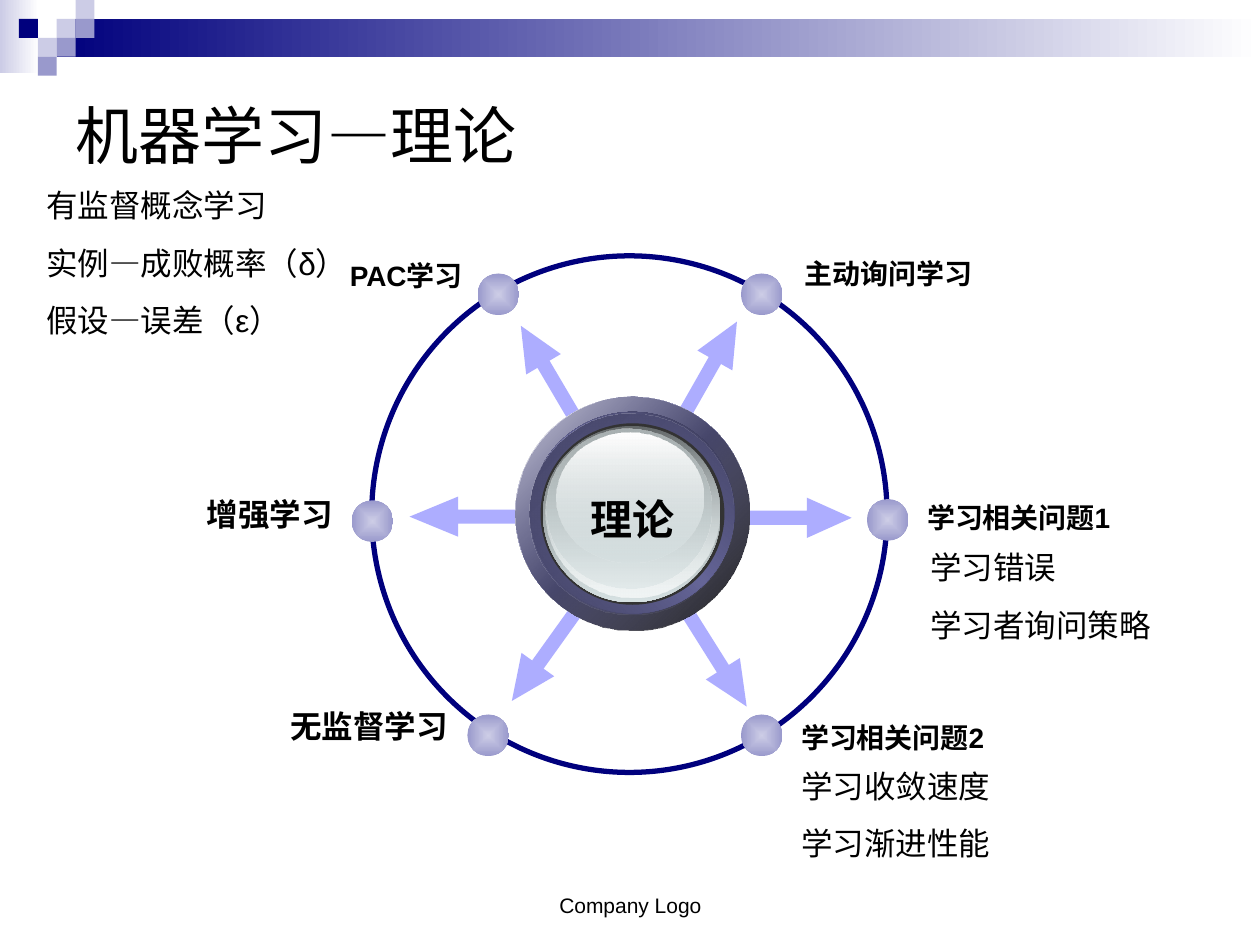
from lxml import etree
from pptx import Presentation
from pptx.dml.color import RGBColor
from pptx.enum.shapes import MSO_SHAPE
from pptx.enum.text import MSO_ANCHOR, MSO_AUTO_SIZE, PP_ALIGN
from pptx.oxml import parse_xml
from pptx.oxml.ns import nsdecls, qn
from pptx.util import Pt

RECTANGLE, OVAL, ARROW = MSO_SHAPE.RECTANGLE, MSO_SHAPE.OVAL, MSO_SHAPE.RIGHT_ARROW
LEFT, CENTER, RIGHT = PP_ALIGN.LEFT, PP_ALIGN.CENTER, PP_ALIGN.RIGHT
TOP, MIDDLE, BOTTOM = MSO_ANCHOR.TOP, MSO_ANCHOR.MIDDLE, MSO_ANCHOR.BOTTOM
FIT_SHAPE, NO_FIT = MSO_AUTO_SIZE.SHAPE_TO_FIT_TEXT, MSO_AUTO_SIZE.NONE
TITLE_ONLY = 5
FONT = "Arial"
COLORS = {
    "text": "000000", "white": "FFFFFF", "navy": "00007D", "pale": "CCCCE6",
    "lilac": "9999CC", "arrow": "9999FF", "node": "CDCDE6", "slate": "666699",
    "black": "000000", "rim": "373753", "rim_dark": "414161", "well": "333333",
    "glass_dark": "636869", "glass": "D6E1E2", "glass_light": "F1F5F5",
    "glass_mid": "AAB2B3",
}

CELL = 10.8
HEADER_CELLS = [
    (3, 1, "pale"), (4, 0, "pale"), (4, 1, "lilac"), (2, 2, "pale"),
    (1, 1, "navy"), (3, 2, "lilac"), (2, 3, "lilac"),
]

NODE_SIZE = 23.8
ARROW_HEIGHT = 23
SPOKES = [
    dict(node=(211, 10.1), arrow=(162, 53.3, 62.6), angle=299.6, head=1.11,
         text="主动询问学习", label=(240.5, -2.9, 116, 26.6), size=16, align=LEFT),
    dict(node=(60.5, 10.1), arrow=(69.8, 55.4, 62.6), angle=239.5, head=1.11,
         text="PAC学习", label=(-31, -2.2, 90, 26.6), size=16, align=RIGHT),
    dict(node=(283, 139), arrow=(211.7, 138.2, 62.6), angle=0, head=1.11,
         text="学习相关问题1", label=(310.3, 136.1, 132, 26.6), size=16, align=LEFT),
    dict(node=(211, 262.1), arrow=(166.3, 219.6, 62.6), angle=57.8, head=1.11,
         text="学习相关问题2", label=(238.3, 262.1, 132, 26.6), size=16, align=LEFT),
    dict(node=(-11.5, 139.7), arrow=(21.6, 137.5, 67.7), angle=180, head=1.21,
         text="增强学习", label=(-107.1, 133.2, 92, 28.8), size=18, align=RIGHT),
    dict(node=(54.7, 262.1), arrow=(67, 217.4, 62.6), angle=125.6, head=1.11,
         text="无监督学习", label=(-59.4, 254.2, 110, 28.8), size=18, align=RIGHT),
]

HUB_LAYERS = [
    ((0, 0, 133.9, 133.2), [(0, "white", 100), (50, "slate", 100), (100, "white", 100)], 45),
    ((0, 0, 133.9, 133.2), [(0, "slate", 32), (100, "black", 90)], 45),
    ((8.6, 8.6, 116.6, 115.2), [(0, "rim", 100), (50, "slate", 100), (100, "rim", 100)], 315),
    ((7.9, 9.4, 116.6, 115.2), [(0, "rim_dark", 100), (100, "slate", 0)], 45),
    ((14.4, 15.1, 105.1, 103.7), "well", None),
    ((15.8, 16.6, 101.5, 100.8), [(0, "glass_dark", 100), (100, "glass", 100)], 90),
    ((17.3, 16.6, 99.4, 97.9), [(0, "glass", 0), (100, "glass_light", 100)], 90),
    ((18, 18, 94.3, 91.4), [(0, "glass_mid", 100), (100, "glass", 48)], 90),
    ((23.8, 20.2, 83.5, 74.2), [(0, "white", 100), (100, "glass", 38)], 90),
]

NOTES = [
    ((19.4, 103, 187.2, 95), ["有监督概念学习", "实例—成败概率（δ）", "假设—误差（ε）"]),
    ((524.5, 309.8, 164.2, 61.9), ["学习错误", "学习者询问策略"]),
    ((450.7, 434.5, 164.2, 61.9), ["学习收敛速度", "学习渐进性能"]),
]


def color(name):
    return RGBColor.from_string(COLORS[name])


def offset(box, left, top, *size):
    return (box[0] + left, box[1] + top, *size)


def fill_gradient(shape, stops, angle):
    shade = (
        '<a:path path="rect"><a:fillToRect l="50000" t="50000" r="50000" b="50000"/></a:path>'
        if angle is None else f'<a:lin ang="{angle * 60000}" scaled="0"/>'
    )
    marks = "".join(
        f'<a:gs pos="{position * 1000}"><a:srgbClr val="{COLORS[name]}">'
        f'<a:alpha val="{opacity * 1000}"/></a:srgbClr></a:gs>'
        for position, name, opacity in stops
    )
    gradient = parse_xml(
        f'<a:gradFill {nsdecls("a")} rotWithShape="1"><a:gsLst>{marks}</a:gsLst>{shade}</a:gradFill>'
    )
    shape._element.spPr.find(qn("a:prstGeom")).addnext(gradient)


def add_figure(slide, kind, box, fill=None, angle=None, opacity=100, line=None):
    shape = slide.shapes.add_shape(kind, *map(Pt, box))
    shape.shadow.inherit = False
    if fill is None:
        shape.fill.background()
    elif isinstance(fill, list):
        fill_gradient(shape, fill, angle)
    else:
        shape.fill.solid()
        shape.fill.fore_color.rgb = color(fill)
        if opacity < 100:
            value = shape._element.spPr.find(qn("a:solidFill")).find(qn("a:srgbClr"))
            etree.SubElement(value, qn("a:alpha"), val=str(opacity * 1000))
    if line:
        shape.line.color.rgb = color(line)
        shape.line.width = Pt(3)
    else:
        shape.line.fill.background()
    return shape


def write_text(frame, lines, size=18, bold=False, align=LEFT, anchor=TOP,
               wrap=True, fit=FIT_SHAPE, gap=0):
    frame.word_wrap = wrap
    frame.auto_size = fit
    frame.vertical_anchor = anchor
    for index, line in enumerate(lines):
        paragraph = frame.add_paragraph() if index else frame.paragraphs[0]
        paragraph.text = line
        paragraph.alignment = align
        paragraph.space_before = Pt(gap if index else 0)
        paragraph.font.name = FONT
        paragraph.font.size = Pt(size)
        paragraph.font.bold = bold
        paragraph.font.color.rgb = color("text")


def add_text(slide, box, lines, **text_format):
    write_text(slide.shapes.add_textbox(*map(Pt, box)).text_frame, lines, **text_format)


def add_header(slide, box):
    left, top, width, height = box
    add_figure(slide, RECTANGLE, (left, top, 22.3, height),
               [(0, "pale", 100), (100, "white", 100)], 0)
    bar_left = 3 * CELL
    add_figure(slide, RECTANGLE, (left + bar_left, top + CELL, width - bar_left, 21.6),
               [(0, "navy", 100), (100, "white", 100)], 0)
    for column, row, fill in HEADER_CELLS:
        add_figure(slide, RECTANGLE, offset(box, column * CELL, row * CELL, CELL, CELL), fill)


def add_title(slide, box, text):
    title = slide.shapes.title
    title.left, title.top, title.width, title.height = map(Pt, box)
    write_text(title.text_frame, [text], size=36, anchor=MIDDLE, fit=NO_FIT)


def add_hub(slide, box, text):
    for layer, fill, angle in HUB_LAYERS:
        add_figure(slide, OVAL, offset(box, *layer), fill, angle)
    add_text(slide, offset(box, 27, 51.8, 80, 36), [text],
             size=24, bold=True, align=CENTER, wrap=False)


def add_wheel(slide, box):
    add_figure(slide, OVAL, box, line="navy")
    for spoke in SPOKES:
        arrow = add_figure(slide, ARROW, offset(box, *spoke["arrow"], ARROW_HEIGHT),
                           "arrow", opacity=80)
        arrow.adjustments[0] = 0.35
        arrow.adjustments[1] = spoke["head"]
        arrow.rotation = spoke["angle"]
        add_figure(slide, OVAL, offset(box, *spoke["node"], NODE_SIZE, NODE_SIZE),
                   [(0, "node", 100), (100, "lilac", 100)])
        add_text(slide, offset(box, *spoke["label"]), [spoke["text"]],
                 size=spoke["size"], bold=True, align=spoke["align"], wrap=False)
    add_hub(slide, offset(box, 82.1, 80.6), "理论")


def main():
    presentation = Presentation()
    presentation.slide_width, presentation.slide_height = Pt(720), Pt(540)
    slide = presentation.slides.add_slide(presentation.slide_layouts[TITLE_ONLY])
    add_header(slide, (0, 0, 720, 41.8))
    add_title(slide, (36, 23, 648, 108), "机器学习—理论")
    add_text(slide, (246.2, 491.8, 228.2, 36), ["Company Logo"],
             size=12, align=CENTER, anchor=BOTTOM, fit=NO_FIT)
    add_wheel(slide, (212.4, 146.2, 294.5, 295.2))
    for box, lines in NOTES:
        add_text(slide, box, lines, gap=11.2)
    presentation.save("out.pptx")


if __name__ == "__main__":
    main()
